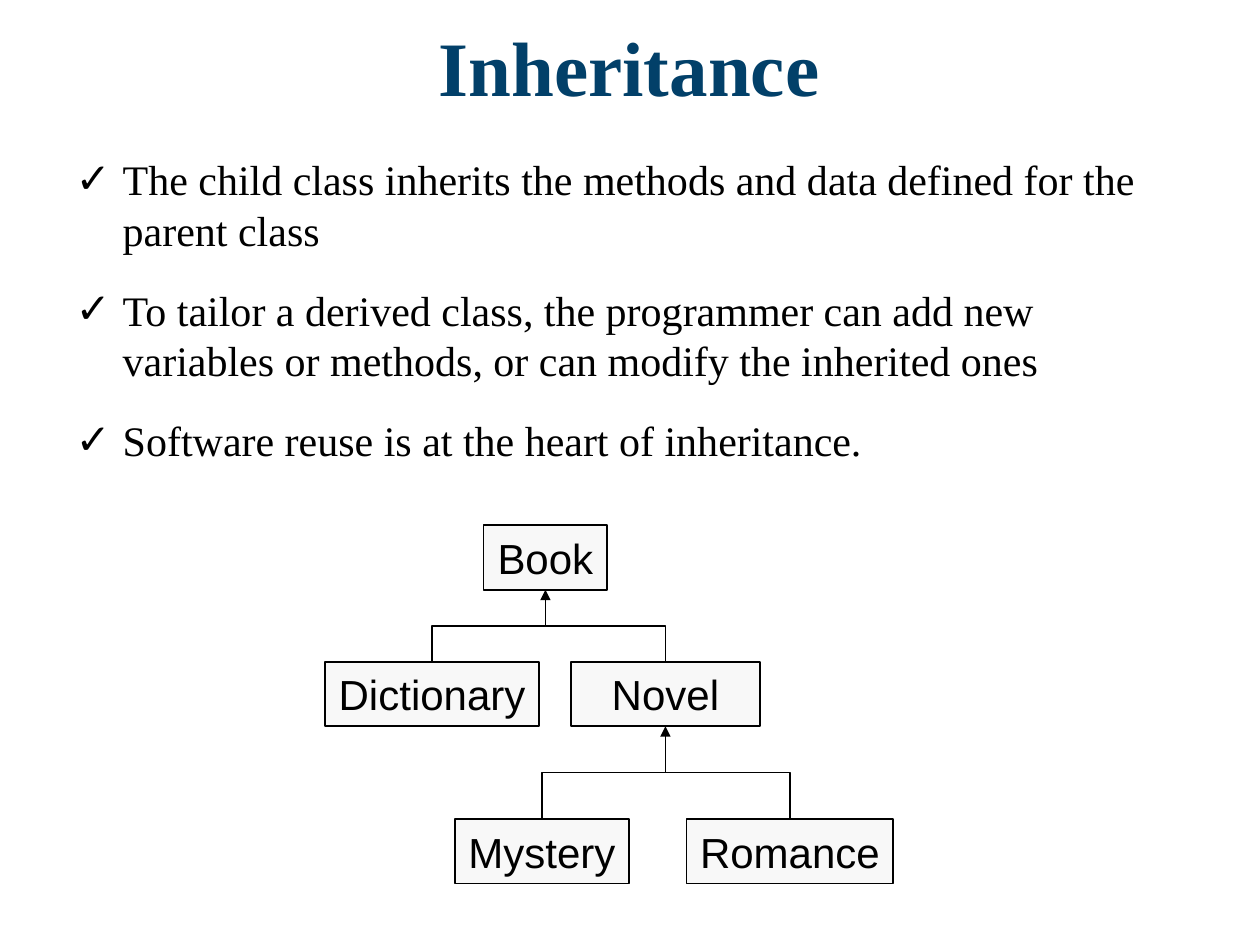
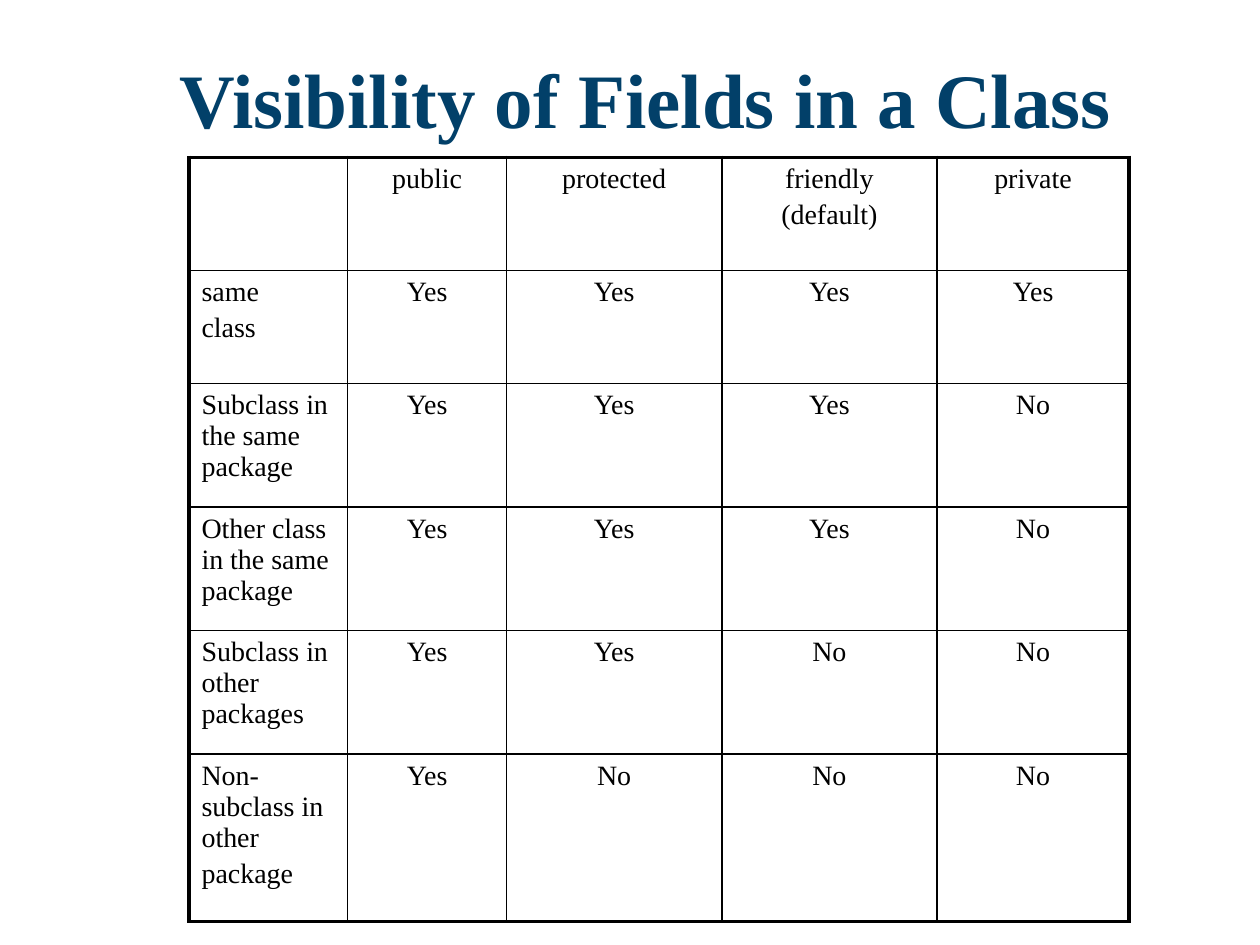
from dataclasses import dataclass

from lxml.etree import SubElement
from pptx import Presentation
from pptx.dml.color import RGBColor
from pptx.enum.shapes import MSO_CONNECTOR as Connector, MSO_SHAPE as Preset
from pptx.enum.text import MSO_ANCHOR as Anchor, MSO_AUTO_SIZE as AutoSize, PP_ALIGN as Align
from pptx.oxml.ns import qn
from pptx.util import Cm, Pt


@dataclass(frozen=True)
class Theme:
    title_color: RGBColor = RGBColor(0x02, 0x40, 0x69)
    ink: RGBColor = RGBColor(0, 0, 0)
    node_fill: RGBColor = RGBColor(0xF8, 0xF8, 0xF8)
    serif: str = "Times New Roman"
    sans: str = "Arial"
    title_size: int = 44
    text_size: int = 24
    table_size: int = 16
    thin: float = 1
    thick: float = 2.25


THEME = Theme()

POINTS = [
    "The child class inherits the methods and data defined for the parent class",
    "To tailor a derived class, the programmer can add new variables or methods, "
    "or can modify the inherited ones",
    "Software reuse is at the heart of inheritance.",
]

# Class name: left, level, width (cm, within the tree)
CLASSES = {
    "Book": (3.2, 0, 2.49),
    "Novel": (4.96, 1, 3.81),
    "Dictionary": (0, 1, 4.32),
    "Mystery": (2.62, 2, 3.51),
    "Romance": (7.29, 2, 4.17),
}
LEVEL_TOPS = (0, 2.75, 5.92)
NODE_HEIGHT = 1.3
CHILDREN = {"Book": ("Dictionary", "Novel"), "Novel": ("Mystery", "Romance")}

VISIBILITY = [
    ["", "public", "protected", "friendly\n(default)", "private"],
    ["same\nclass", "Yes", "Yes", "Yes", "Yes"],
    ["Subclass in the same package", "Yes", "Yes", "Yes", "No"],
    ["Other class in the same package", "Yes", "Yes", "Yes", "No"],
    ["Subclass in other packages", "Yes", "Yes", "No", "No"],
    ["Non-subclass in other\npackage", "Yes", "No", "No", "No"],
]
COLUMN_WIDTHS = (3.2, 3.2, 4.34, 4.34, 3.87)
ROW_HEIGHTS = (2.28, 2.28, 2.49, 2.49, 2.49, 3.38)


def write(frame, text, *, size, font=THEME.serif, color=THEME.ink, bold=False,
          align=Align.LEFT, gap=0, bullet=None, indent=0):
    """Fill a text frame with one paragraph per line of text."""
    frame.text = text
    for index, paragraph in enumerate(frame.paragraphs):
        paragraph.alignment = align
        paragraph.space_before = Pt(gap if index else 0)
        if bullet:
            properties = paragraph._p.get_or_add_pPr()
            properties.set("marL", str(Cm(indent)))
            properties.set("indent", str(-Cm(indent)))
            SubElement(properties, qn("a:buChar")).set("char", bullet)
        paragraph.font.size = Pt(size)
        paragraph.font.name = font
        paragraph.font.bold = bold
        paragraph.font.color.rgb = color


def place(shape, left, top, width, height):
    shape.left, shape.top = Cm(left), Cm(top)
    shape.width, shape.height = Cm(width), Cm(height)


def add_title(slide, text, box):
    title = slide.shapes.title
    place(title, *box)
    title.text_frame.auto_size = AutoSize.NONE
    title.text_frame.vertical_anchor = Anchor.MIDDLE
    write(title.text_frame, text, size=THEME.title_size, color=THEME.title_color,
          bold=True, align=Align.CENTER)


def add_points(slide, points, box):
    body = slide.placeholders[1]
    place(body, *box)
    body.text_frame.auto_size = AutoSize.NONE
    write(body.text_frame, "\n".join(points), size=THEME.text_size,
          gap=17, bullet="✓", indent=0.95)


def add_class_box(slide, name, left, top, width):
    node = slide.shapes.add_shape(Preset.RECTANGLE, Cm(left), Cm(top),
                                  Cm(width), Cm(NODE_HEIGHT))
    node.shadow.inherit = False
    node.fill.solid()
    node.fill.fore_color.rgb = THEME.node_fill
    node.line.color.rgb = THEME.ink
    node.line.width = Pt(THEME.thin)
    node.text_frame.word_wrap = False
    node.text_frame.vertical_anchor = Anchor.MIDDLE
    write(node.text_frame, name, size=THEME.text_size, font=THEME.sans, align=Align.CENTER)
    return node


def link_to_parent(slide, child, parent, arrow):
    """Join a child's top to its parent's bottom, bending halfway up."""
    link = slide.shapes.add_connector(Connector.ELBOW, 0, 0, 0, 0)
    link.begin_connect(child, 0)
    link.end_connect(parent, 2)
    run, rise = link.end_x - link.begin_x, link.begin_y - link.end_y
    center_x = (link.begin_x + link.end_x) // 2
    center_y = (link.begin_y + link.end_y) // 2

    # The elbow preset leaves sideways, so it is turned to leave upwards.
    link.width, link.height = rise, abs(run)
    link.left, link.top = center_x - rise // 2, center_y - abs(run) // 2
    transform = link._element.spPr.find(qn("a:xfrm"))
    transform.set("rot", str(270 * 60000))
    transform.set("flipH", "0")
    transform.set("flipV", "1" if run < 0 else "0")

    link.line.color.rgb = THEME.ink
    link.line.width = Pt(THEME.thin)
    if arrow:
        SubElement(link.line._get_or_add_ln(), qn("a:tailEnd")).set("type", "triangle")
    SubElement(link._element.spPr, qn("a:effectLst"))


def add_class_tree(slide, left, top):
    nodes = {name: add_class_box(slide, name, left + offset, top + LEVEL_TOPS[level], width)
             for name, (offset, level, width) in CLASSES.items()}
    for parent, children in CHILDREN.items():
        for index, child in enumerate(children):
            link_to_parent(slide, nodes[child], nodes[parent], arrow=index == 0)


def set_borders(cell, widths):
    properties = cell._tc.get_or_add_tcPr()
    for side, width in widths.items():
        line = SubElement(properties, qn(f"a:ln{side}"), w=str(Pt(width)))
        fill = SubElement(line, qn("a:solidFill"))
        SubElement(fill, qn("a:srgbClr"), val=str(THEME.ink))


def add_visibility_table(slide, rows, left, top):
    last_row, last_column = len(rows) - 1, len(rows[0]) - 1
    table = slide.shapes.add_table(len(rows), len(rows[0]), Cm(left), Cm(top),
                                   Cm(sum(COLUMN_WIDTHS)), Cm(sum(ROW_HEIGHTS))).table
    table.first_row = table.horz_banding = False
    for column, width in zip(table.columns, COLUMN_WIDTHS):
        column.width = Cm(width)
    for row, height in zip(table.rows, ROW_HEIGHTS):
        row.height = Cm(height)
    for row_index, texts in enumerate(rows):
        for column_index, text in enumerate(texts):
            cell = table.cell(row_index, column_index)
            outer = {"L": column_index == 0, "R": column_index == last_column,
                     "T": row_index == 0, "B": row_index == last_row}
            set_borders(cell, {side: THEME.thick if edge else THEME.thin
                               for side, edge in outer.items()})
            cell.fill.background()
            write(cell.text_frame, text, size=THEME.table_size, gap=3,
                  align=Align.CENTER if column_index else Align.LEFT)


def add_inheritance_slide(presentation):
    slide = presentation.slides.add_slide(presentation.slide_layouts[1])
    add_title(slide, "Inheritance", (1.27, 0.53, 22.83, 1.57))
    add_points(slide, POINTS, (1.27, 2.97, 22.86, 15))
    add_class_tree(slide, 6.55, 10.59)


def add_visibility_slide(presentation):
    slide = presentation.slides.add_slide(presentation.slide_layouts[5])
    add_title(slide, "Visibility of Fields in a Class", (1.27, 0.76, 23.5, 2.41))
    add_visibility_table(slide, VISIBILITY, 3.81, 3.17)


def main():
    presentation = Presentation()
    presentation.slide_width, presentation.slide_height = Cm(25.4), Cm(19.05)
    add_inheritance_slide(presentation)
    add_visibility_slide(presentation)
    presentation.save("out.pptx")


if __name__ == "__main__":
    main()
